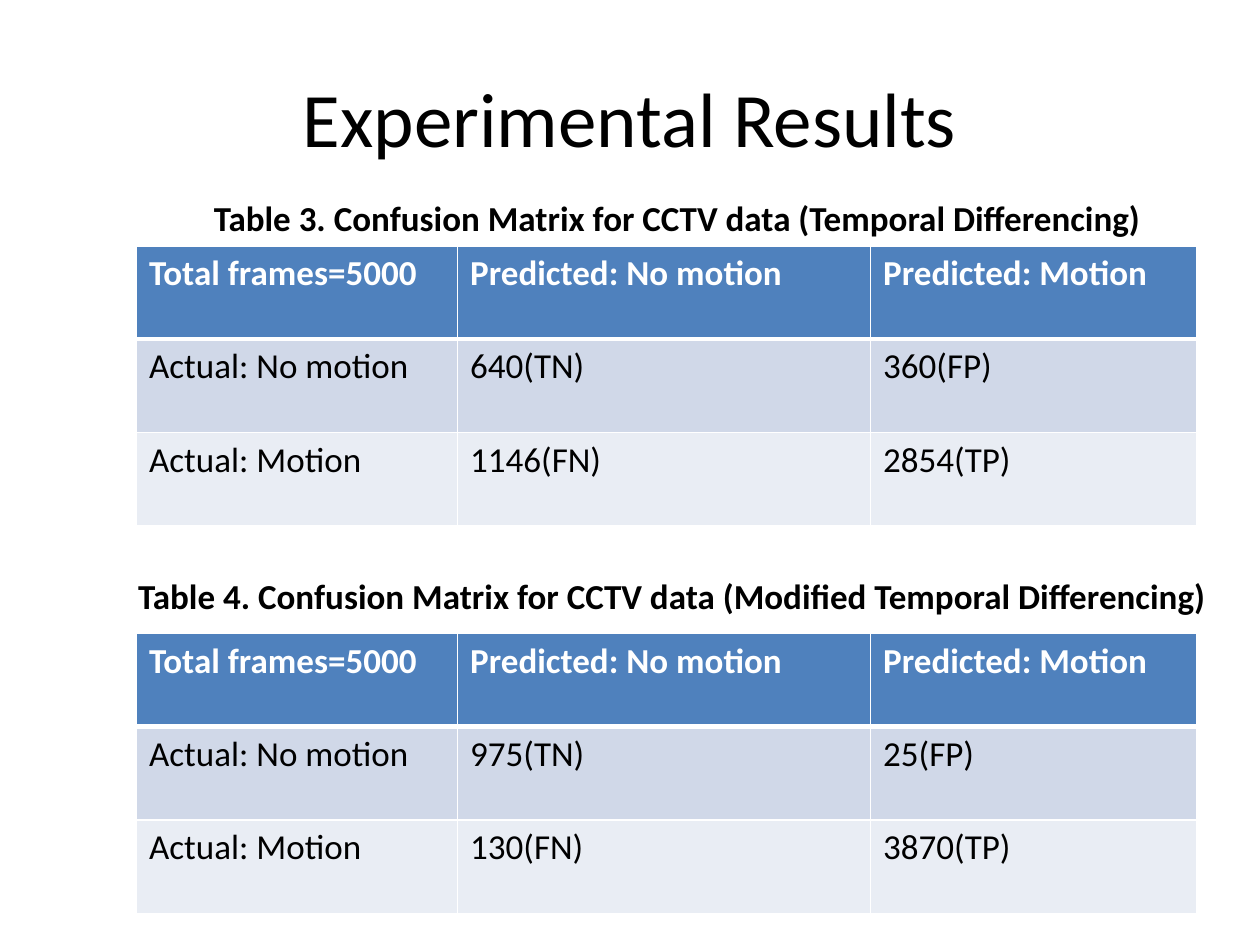
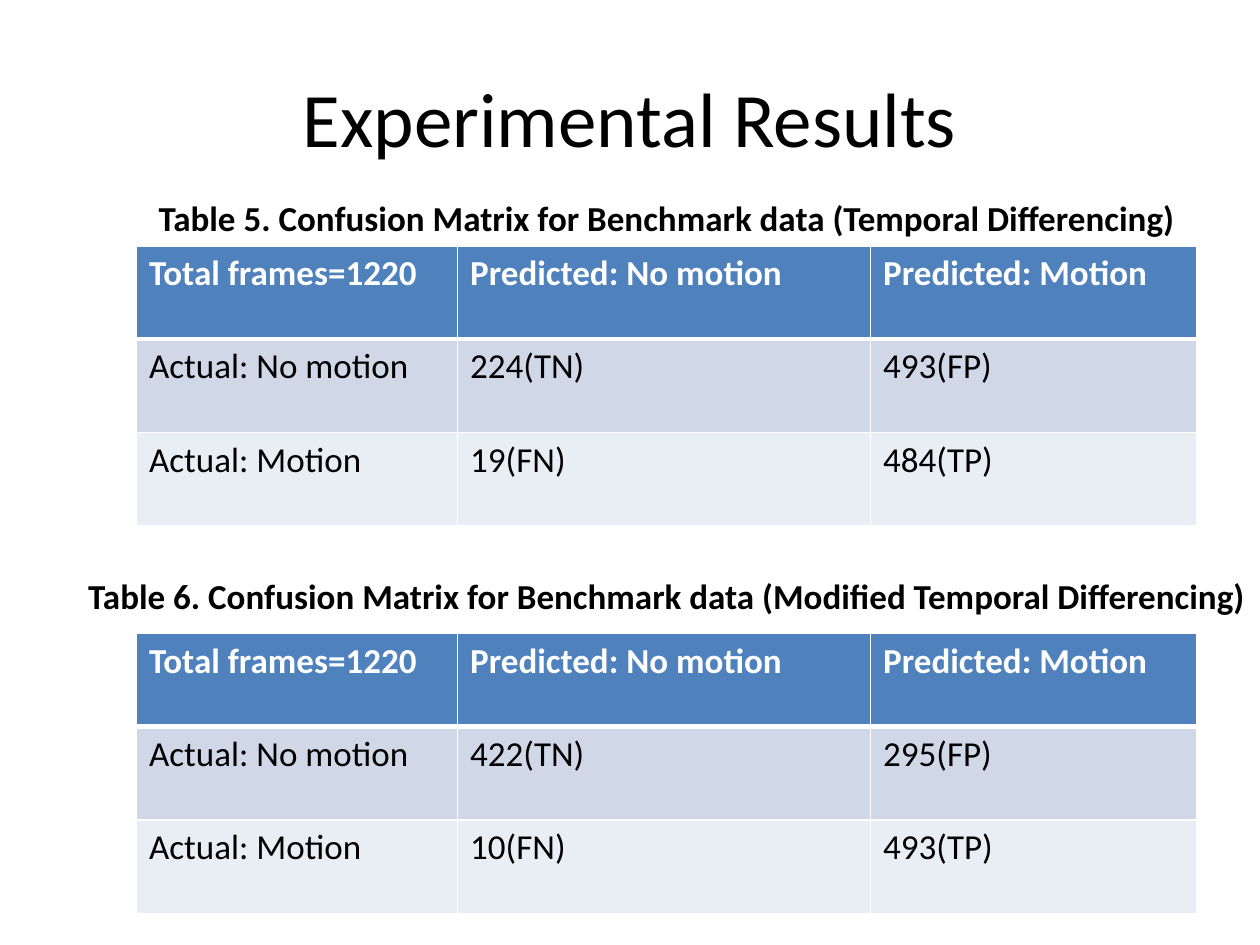
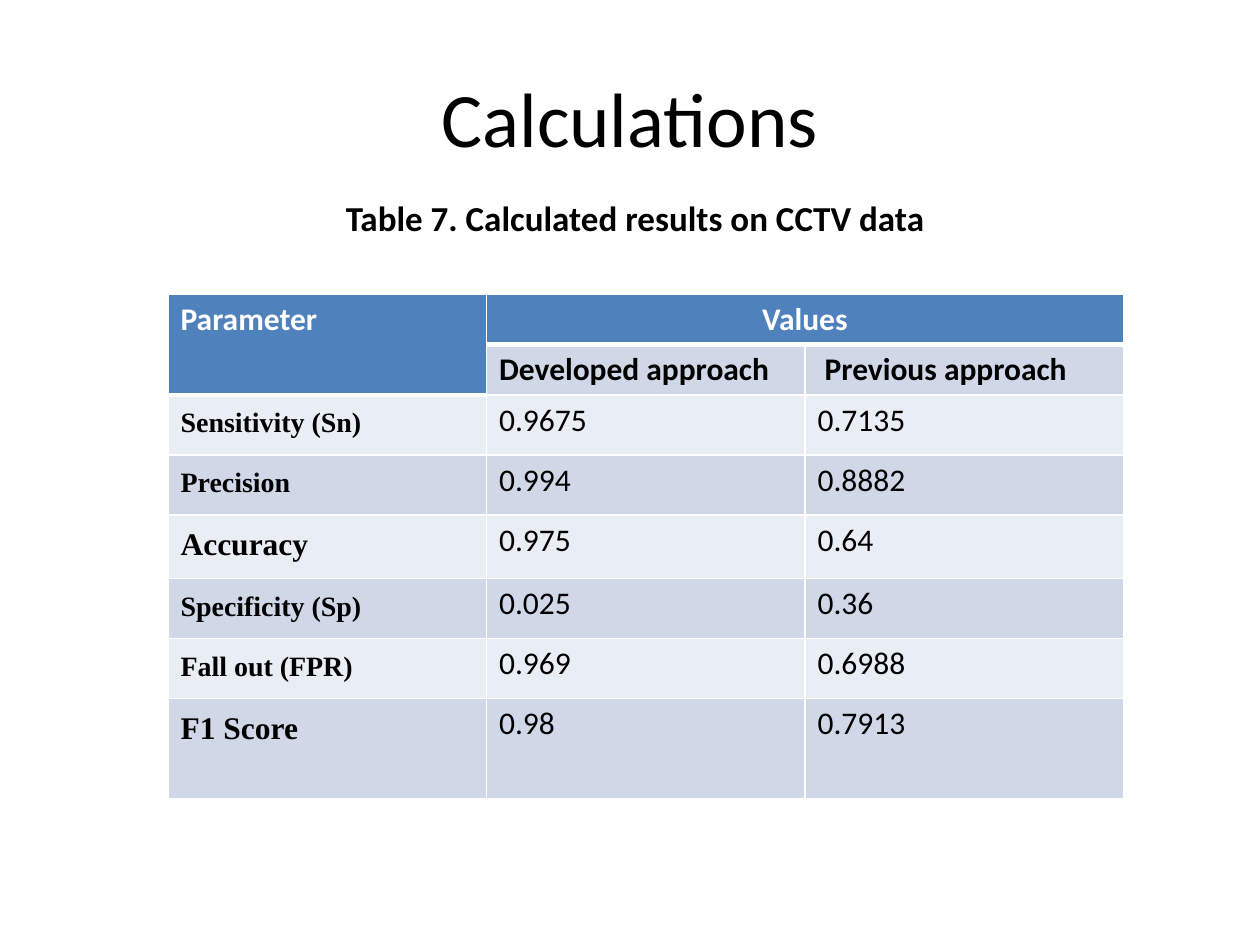
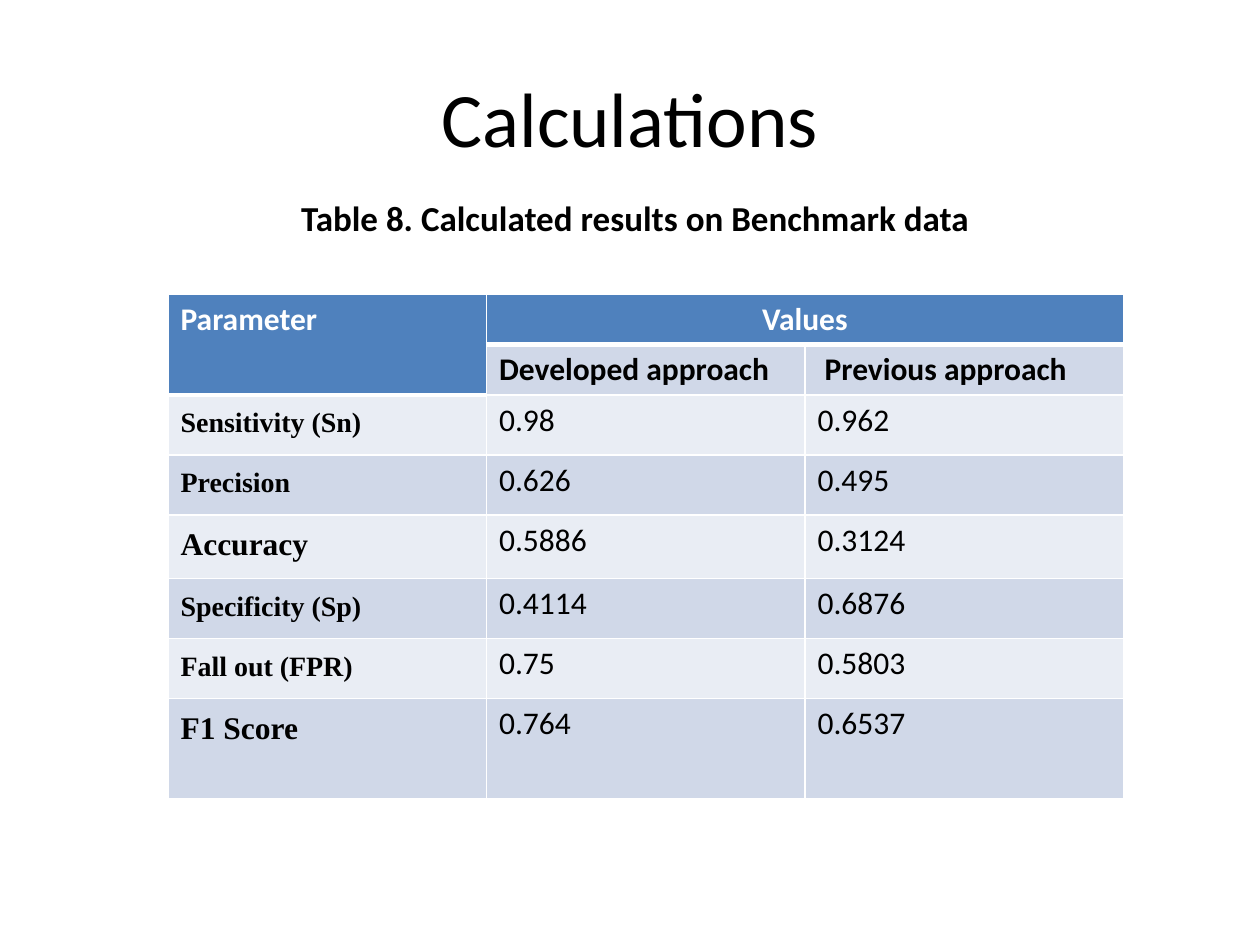
"""Build four slides of motion detection results with captioned tables."""
import dataclasses
import typing

import pptx
import pptx.dml.color
import pptx.enum.text
import pptx.oxml
import pptx.oxml.ns
import pptx.util

Pt = pptx.util.Pt
Align = pptx.enum.text.PP_ALIGN


@dataclasses.dataclass(frozen=True)
class Theme:
    ink: str = "000000"
    white: str = "FFFFFF"
    head: str = "4F81BD"
    dark: str = "D0D8E8"
    light: str = "E9EDF4"
    sans: str = "Calibri"
    serif: str = "Times New Roman"
    title: float = 44
    large: float = 20
    text: float = 18
    small: float = 16
    thin: float = 1
    thick: float = 3


THEME = Theme()


class Box(typing.NamedTuple):
    left: float
    top: float
    width: float
    height: float


class Style(typing.NamedTuple):
    size: float
    color: str = THEME.ink
    bold: bool = False
    name: str = THEME.sans
    align: Align = Align.LEFT
    before: float = 0


class Cell(typing.NamedTuple):
    text: str
    style: Style
    fill: str
    inset: bool = False


class Grid(typing.NamedTuple):
    left: float
    top: float
    cols: tuple[float, ...]
    rows: tuple[float, ...]


class Note(typing.NamedTuple):
    text: str
    left: float
    width: float


class Matrix(typing.NamedTuple):
    note: Note
    total: int
    counts: tuple[tuple[str, str], tuple[str, str]]


class Report(typing.NamedTuple):
    note: Note
    values: tuple[tuple[str, str], ...]


TITLE = Box(36, 21.6, 648, 90)
NOTE_TOP, NOTE_HIGH = 108.5, 31.5
LOWER_NOTE = 324.5
PAIR_TOPS = ((NOTE_TOP, 140.5), (LOWER_NOTE, 362))
PAIR_COLS = (183.5, 236, 186.5)
PAIR_ROWS = (53.3,) * 3
SCORE_GRID = Grid(96, 168, (182,) * 3,
                  (28.5, 28.5, 34.25, 34.25, 36.5, 34.25, 34.25, 57.5))
SCORES = (("Sensitivity (Sn)", THEME.small), ("Precision", THEME.small),
          ("Accuracy", THEME.text), ("Specificity (Sp)", THEME.small),
          ("Fall out (FPR)", THEME.small), ("F1 Score", THEME.text))

PAIRS = (
    (Matrix(Note("Table 3. Confusion Matrix for CCTV data (Temporal Differencing)",
                 114, 546), 5000,
            (("640(TN)", "360(FP)"), ("1146(FN)", "2854(TP)"))),
     Matrix(Note("Table 4. Confusion Matrix for CCTV data (Modified Temporal Differencing)",
                 48, 672), 5000,
            (("975(TN)", "25(FP)"), ("130(FN)", "3870(TP)")))),
    (Matrix(Note("Table 5. Confusion Matrix for Benchmark data (Temporal Differencing)",
                 78, 606), 1220,
            (("224(TN)", "493(FP)"), ("19(FN)", "484(TP)"))),
     Matrix(Note("Table 6. Confusion Matrix for Benchmark data (Modified Temporal Differencing)",
                 30, 702), 1220,
            (("422(TN)", "295(FP)"), ("10(FN)", "493(TP)")))),
)
REPORTS = (
    Report(Note("Table 7. Calculated results on CCTV data", 60, 606),
           (("0.9675", "0.7135"), ("0.994", "0.8882"), ("0.975", "0.64"),
            ("0.025", "0.36"), ("0.969", "0.6988"), ("0.98", "0.7913"))),
    Report(Note("Table 8. Calculated results on Benchmark data", 60, 606),
           (("0.98", "0.962"), ("0.626", "0.495"), ("0.5886", "0.3124"),
            ("0.4114", "0.6876"), ("0.75", "0.5803"), ("0.764", "0.6537"))),
)


def apply(item: typing.Any, values: dict[str, typing.Any]) -> None:
    """Set each named value on the item."""
    for name, value in values.items():
        setattr(item, name, value)


def color(code: str) -> pptx.dml.color.RGBColor:
    """Turn a hex code into a colour."""
    return pptx.dml.color.RGBColor.from_string(code)


def write(frame: typing.Any, text: str, style: Style) -> None:
    """Put one styled paragraph in a text frame."""
    para = frame.paragraphs[0]
    apply(para, {"alignment": style.align, "space_before": Pt(style.before)})
    run = para.add_run()
    run.text = text
    apply(run.font, {"size": Pt(style.size), "bold": style.bold, "name": style.name})
    run.font.color.rgb = color(style.color)


def start(deck: typing.Any, text: str) -> typing.Any:
    """Add a slide with its title."""
    slide = deck.slides.add_slide(deck.slide_layouts[5])
    title = slide.shapes.title
    apply(title, {key: Pt(size) for key, size in TITLE._asdict().items()})
    title.text_frame.vertical_anchor = pptx.enum.text.MSO_ANCHOR.MIDDLE
    write(title.text_frame, text, Style(THEME.title, align=Align.CENTER))
    return slide


def label(slide: typing.Any, note: Note, top: float) -> None:
    """Add a bold table caption."""
    box = Box(note.left, top, note.width, NOTE_HIGH)
    frame = slide.shapes.add_textbox(*map(Pt, box)).text_frame
    apply(frame, {"word_wrap": True,
                  "auto_size": pptx.enum.text.MSO_AUTO_SIZE.SHAPE_TO_FIT_TEXT})
    write(frame, note.text, Style(THEME.large, bold=True, align=Align.CENTER))


def edge(cell: typing.Any, top: float, bottom: float) -> None:
    """Draw the white borders of a cell."""
    props = cell._tc.get_or_add_tcPr()
    sides = {"L": THEME.thin, "R": THEME.thin, "T": top, "B": bottom}
    for spot, (side, width) in enumerate(sides.items()):
        props.insert(spot, pptx.oxml.parse_xml(
            f'<a:ln{side} {pptx.oxml.ns.nsdecls("a")} w="{Pt(width)}"><a:solidFill>'
            f'<a:srgbClr val="{THEME.white}"/></a:solidFill></a:ln{side}>'))


def draw(slide: typing.Any, grid: Grid, cells: list[list[Cell]]) -> typing.Any:
    """Add a table of filled and bordered cells."""
    box = Box(grid.left, grid.top, sum(grid.cols), sum(grid.rows))
    table = slide.shapes.add_table(
        len(grid.rows), len(grid.cols), *map(Pt, box)).table
    for col, width in zip(table.columns, grid.cols):
        col.width = Pt(width)
    for row, height in zip(table.rows, grid.rows):
        row.height = Pt(height)
    for r, line in enumerate(cells):
        for c, part in enumerate(line):
            cell = table.cell(r, c)
            cell.fill.solid()
            cell.fill.fore_color.rgb = color(part.fill)
            under = r > 0 and cells[r - 1][c].fill == THEME.head
            edge(cell, THEME.thick if under else THEME.thin,
                 THEME.thick if part.fill == THEME.head else THEME.thin)
            if part.text:
                write(cell.text_frame, part.text, part.style)
            if part.inset:
                apply(cell, {f"margin_{side}": Pt(7.2)
                             for side in ("left", "top", "right", "bottom")})
    return table


def confuse(slide: typing.Any, data: Matrix, tops: tuple[float, float]) -> None:
    """Add a caption and its confusion matrix."""
    head = Style(THEME.large, THEME.white, True)
    body = Style(THEME.large)
    names = (f"Total frames={data.total}", "Predicted: No motion", "Predicted: Motion")
    cells = [[Cell(name, head, THEME.head) for name in names]]
    kinds = ("Actual: No motion", "Actual: Motion")
    for kind, fill, counts in zip(kinds, (THEME.dark, THEME.light), data.counts):
        cells.append([Cell(text, body, fill) for text in (kind, *counts)])
    draw(slide, Grid(78, tops[1], PAIR_COLS, PAIR_ROWS), cells)
    label(slide, data.note, tops[0])


def score(slide: typing.Any, data: Report) -> None:
    """Add a caption and its table of scores."""
    label(slide, data.note, NOTE_TOP)
    head = Style(THEME.text, THEME.white, True)
    sub = Style(THEME.text, bold=True)
    body = Style(THEME.text)
    blank = Cell("", head, THEME.head)
    cells = [
        [Cell("Parameter", head, THEME.head),
         Cell("Values", head._replace(align=Align.CENTER), THEME.head), blank],
        [blank, Cell("Developed approach", sub, THEME.dark),
         Cell(" Previous approach", sub, THEME.dark)],
    ]
    for spot, ((name, size), values) in enumerate(zip(SCORES, data.values)):
        fill = (THEME.light, THEME.dark)[spot % 2]
        style = Style(size, bold=True, name=THEME.serif, align=Align.JUSTIFY, before=3.5)
        cells.append([Cell(name, style, fill, True),
                      *(Cell(value, body, fill) for value in values)])
    table = draw(slide, SCORE_GRID, cells)
    table.cell(0, 0).merge(table.cell(1, 0))
    table.cell(0, 1).merge(table.cell(0, 2))


def main() -> None:
    """Build and save the deck."""
    deck = pptx.Presentation()
    apply(deck, {"slide_width": Pt(720), "slide_height": Pt(540)})
    for pair in PAIRS:
        slide = start(deck, "Experimental Results")
        for data, tops in zip(pair, PAIR_TOPS):
            confuse(slide, data, tops)
    for data in REPORTS:
        score(start(deck, "Calculations"), data)
    deck.save("out.pptx")


if __name__ == "__main__":
    main()
